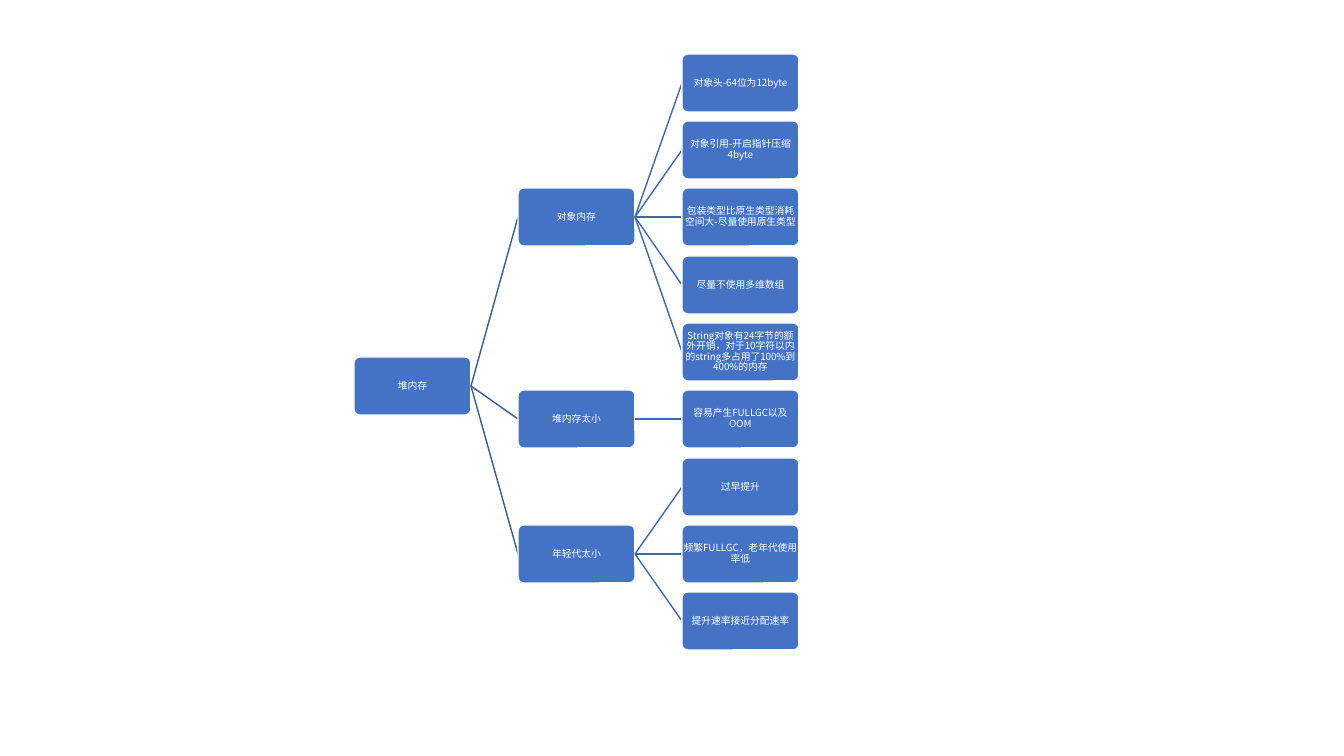
from dataclasses import dataclass

from lxml import etree
from pptx import Presentation
from pptx.dml.color import RGBColor
from pptx.enum.shapes import MSO_CONNECTOR, MSO_SHAPE
from pptx.enum.text import MSO_ANCHOR, PP_ALIGN
from pptx.oxml.ns import qn
from pptx.slide import Slide
from pptx.util import Pt

ROUNDED = MSO_SHAPE.ROUNDED_RECTANGLE
STRAIGHT = MSO_CONNECTOR.STRAIGHT
MIDDLE = MSO_ANCHOR.MIDDLE
CENTER = PP_ALIGN.CENTER

WHITE = RGBColor(0xFF, 0xFF, 0xFF)
NODE_BLUE = RGBColor(0x44, 0x72, 0xC4)
BRANCH_COLORS = (RGBColor(0x36, 0x5B, 0x9D), RGBColor(0x3E, 0x67, 0xB2))
FONT = "Noto Sans CJK SC"

SLIDE_WIDTH, SLIDE_HEIGHT = 1344, 756
NODE_WIDTH, NODE_HEIGHT = 117, 58
TREE_LEFT, TREE_TOP = 354, 54
LEVEL_STEP = 164
LEAF_SPAN, LAST_ROW = 538, 8


@dataclass(frozen=True)
class Node:
    label: str
    children: tuple["Node", ...] = ()
    leaf_row: int = 0

    @property
    def row(self) -> float:
        if not self.children:
            return self.leaf_row
        return (self.children[0].row + self.children[-1].row) / 2


def branch(label: str, first_row: int, *leaves: str) -> Node:
    return Node(label, tuple(Node(leaf, (), row) for row, leaf in enumerate(leaves, first_row)))


HEAP_TREE = Node("堆内存", (
    branch(
        "对象内存", 0,
        "对象头-64位为12byte",
        "对象引用-开启指针压缩4byte",
        "包装类型比原生类型消耗空间大-尽量使用原生类型",
        "尽量不使用多维数组",
        "String对象有24字节的额外开销，对于10字符以内的string多占用了100%到400%的内存",
    ),
    branch("堆内存太小", 5, "容易产生FULLGC以及OOM"),
    branch("年轻代太小", 6, "过早提升", "频繁FULLGC，老年代使用率低", "提升速率接近分配速率"),
))


def px(pixels: float) -> int:
    return round(pixels * 914400 / 100.8)


def node_left(level: int) -> int:
    return TREE_LEFT + level * LEVEL_STEP


def node_top(node: Node) -> int:
    return round(TREE_TOP + node.row * LEAF_SPAN / LAST_ROW)


def draw_node(page: Slide, node: Node, level: int) -> None:
    box = page.shapes.add_shape(
        ROUNDED, px(node_left(level)), px(node_top(node)), px(NODE_WIDTH), px(NODE_HEIGHT)
    )
    box.adjustments[0] = 0.1
    box.shadow.inherit = False
    box.fill.solid()
    box.fill.fore_color.rgb = NODE_BLUE
    box.line.color.rgb = WHITE
    box.line.width = Pt(1)

    frame = box.text_frame
    frame.word_wrap = True
    frame.vertical_anchor = MIDDLE
    frame.margin_left = frame.margin_right = frame.margin_top = frame.margin_bottom = 0
    para = frame.paragraphs[0]
    para.text = node.label
    para.alignment = CENTER
    para.line_spacing = 0.9
    para.font.size = Pt(7)
    para.font.color.rgb = WHITE
    para.font.name = FONT
    defaults = para._p.get_or_add_pPr().find(qn("a:defRPr"))
    etree.SubElement(defaults, qn("a:ea"), typeface=FONT)


def draw_branch(page: Slide, parent: Node, child: Node, level: int) -> None:
    middle = NODE_HEIGHT / 2
    line = page.shapes.add_connector(
        STRAIGHT,
        px(node_left(level) + NODE_WIDTH), px(node_top(parent) + middle),
        px(node_left(level + 1)), px(node_top(child) + middle),
    )
    line.line.color.rgb = BRANCH_COLORS[level]
    line.line.width = Pt(1)
    etree.SubElement(line._element.spPr, qn("a:effectLst"))


def draw_tree(page: Slide, node: Node, level: int = 0) -> None:
    draw_node(page, node, level)
    for child in node.children:
        draw_branch(page, node, child, level)
        draw_tree(page, child, level + 1)


deck = Presentation()
deck.slide_width, deck.slide_height = px(SLIDE_WIDTH), px(SLIDE_HEIGHT)
page = deck.slides.add_slide(deck.slide_layouts[6])
draw_tree(page, HEAP_TREE)
deck.save("out.pptx")
